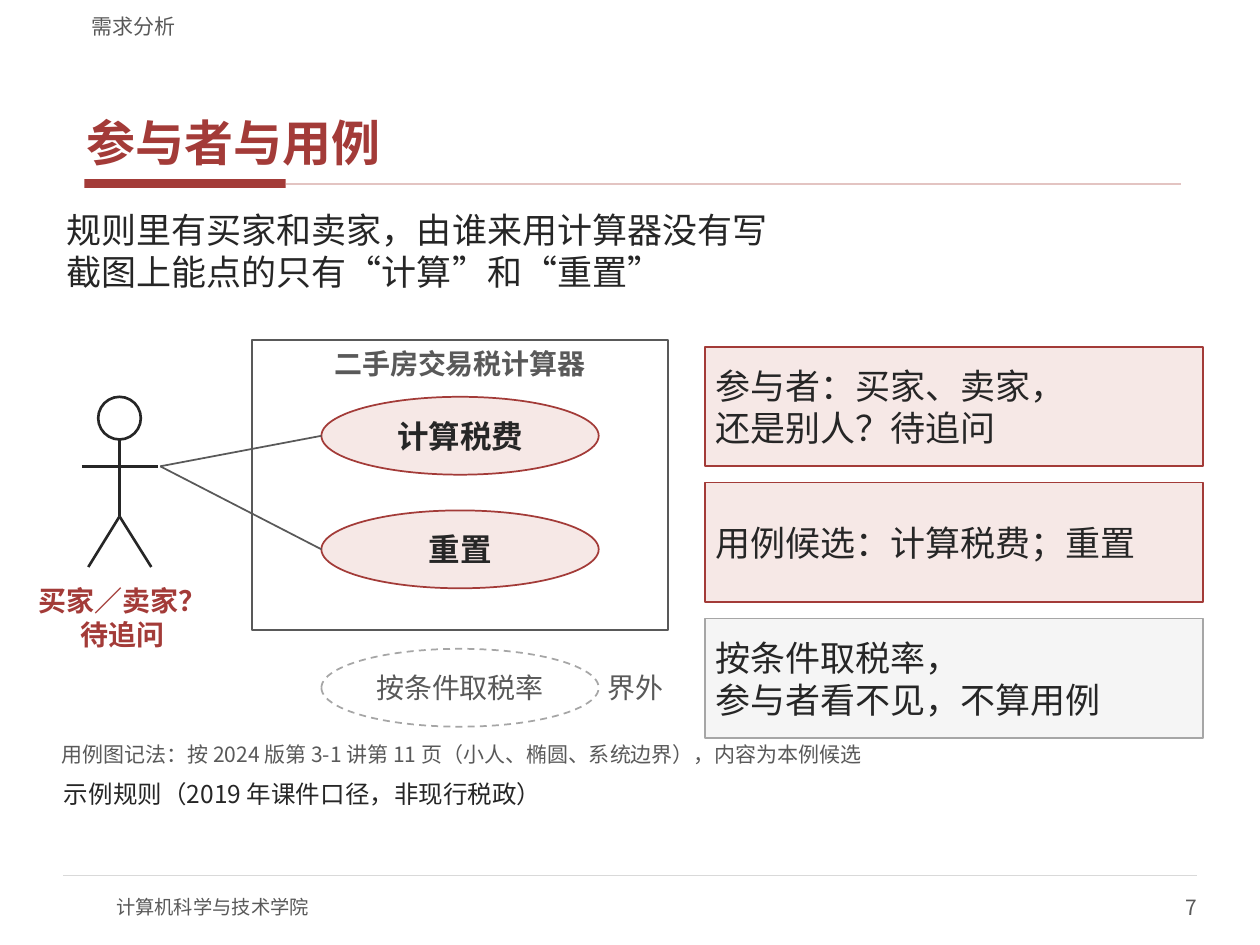
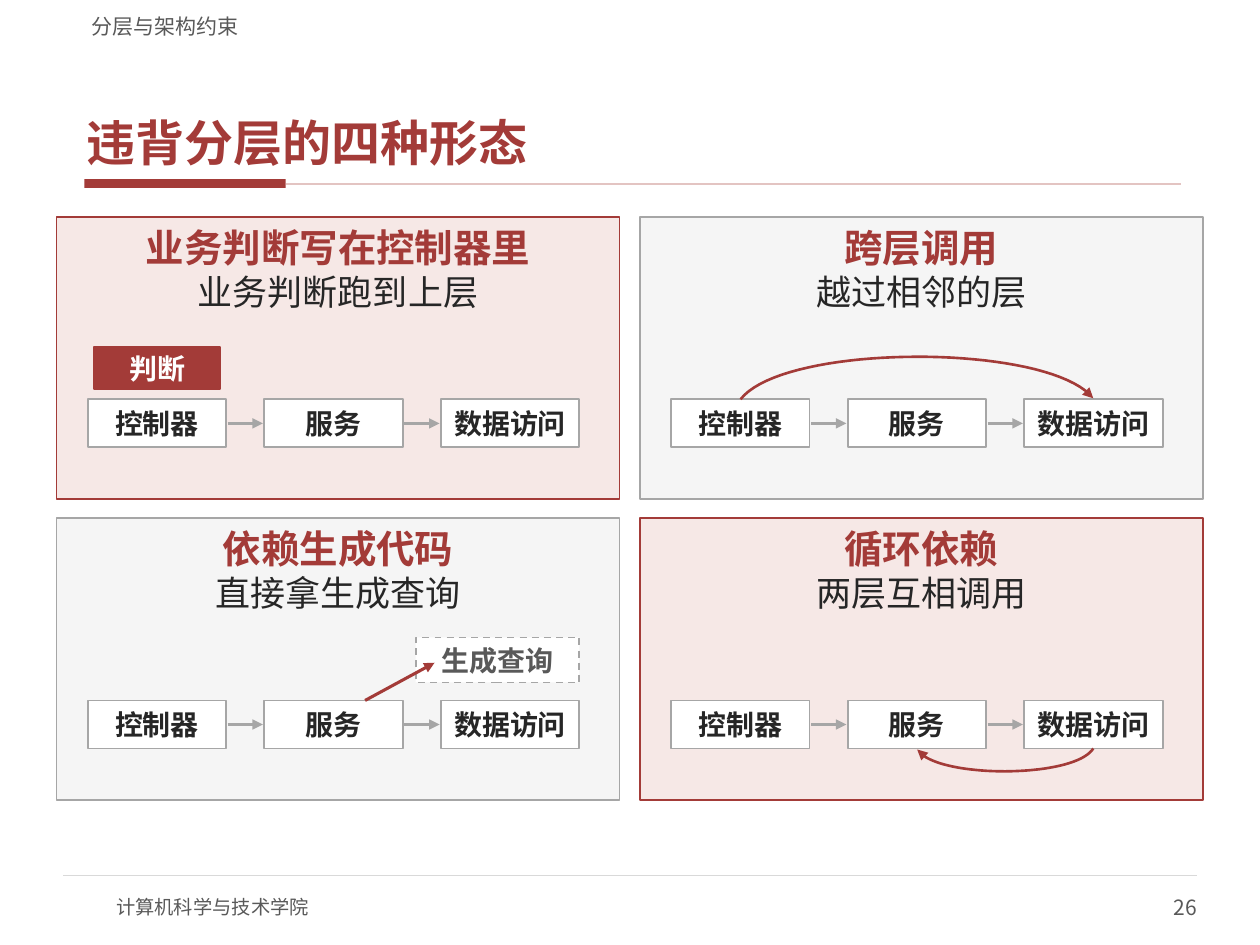
from copy import deepcopy
from dataclasses import dataclass
from typing import Any, NamedTuple, Optional

from lxml.etree import SubElement
from pptx import Presentation
from pptx.dml.color import RGBColor
from pptx.enum.dml import MSO_LINE_DASH_STYLE as Dash
from pptx.enum.lang import MSO_LANGUAGE_ID as Language
from pptx.enum.shapes import MSO_CONNECTOR as Connector, MSO_SHAPE as Preset
from pptx.enum.text import MSO_ANCHOR as Anchor, PP_ALIGN as Align
from pptx.oxml.ns import qn
from pptx.util import Cm, Pt


@dataclass(frozen=True)
class Theme:
    font: str = "Noto Sans CJK SC"
    red: RGBColor = RGBColor(0xA3, 0x3B, 0x38)
    pink: RGBColor = RGBColor(0xF6, 0xE8, 0xE6)
    rose: RGBColor = RGBColor(0xE3, 0xC4, 0xC2)
    ink: RGBColor = RGBColor(0x26, 0x26, 0x26)
    dark: RGBColor = RGBColor(0x59, 0x59, 0x59)
    gray: RGBColor = RGBColor(0xA6, 0xA6, 0xA6)
    pale: RGBColor = RGBColor(0xD9, 0xD9, 0xD9)
    mist: RGBColor = RGBColor(0xF5, 0xF5, 0xF5)
    white: RGBColor = RGBColor(0xFF, 0xFF, 0xFF)
    title: int = 28
    heading: int = 22
    body: int = 20
    case: int = 18
    label: int = 16
    rule: int = 14
    note: int = 12
    footer: int = 11


THEME = Theme()


class Area(NamedTuple):
    left: float
    top: float
    width: float
    height: float


class Point(NamedTuple):
    x: float
    y: float


class Style(NamedTuple):
    size: int
    color: RGBColor = THEME.ink
    bold: bool = False
    align: Align = Align.LEFT
    anchor: Anchor = Anchor.MIDDLE
    inset: Point = Point(0.05, 0.03)
    before: float = 0
    after: float = 0


class Stroke(NamedTuple):
    color: RGBColor
    width: float = 1
    dash: Optional[Dash] = None
    arrow: bool = False


class Look(NamedTuple):
    fill: Optional[RGBColor]
    stroke: Optional[Stroke]


class UseCase(NamedTuple):
    text: str
    top: float
    look: Look
    style: Style
    linked: bool


class Panel(NamedTuple):
    heading: str
    detail: str
    look: Look


PINK_LOOK = Look(THEME.pink, Stroke(THEME.red))
MIST_LOOK = Look(THEME.mist, Stroke(THEME.gray))
WHITE_LOOK = Look(THEME.white, Stroke(THEME.gray))
DASHED_LOOK = Look(THEME.white, Stroke(THEME.gray, dash=Dash.DASH))
WIDE_INSET = Point(0.2, 0.1)
BODY = Style(THEME.body, inset=WIDE_INSET)
LABEL = Style(THEME.label, bold=True, align=Align.CENTER)
CASE = Style(THEME.case, bold=True, align=Align.CENTER, inset=WIDE_INSET)
NOTE = Style(THEME.note, THEME.dark, anchor=Anchor.BOTTOM, inset=Point(0.1, 0.05))
HEADING = Style(THEME.heading, THEME.red, True, Align.CENTER, Anchor.TOP, Point(0.3, 0.15))
DETAIL = Style(THEME.body, align=Align.CENTER)


def apply(target: Any, values: dict[str, Any]) -> None:
    """Set each named attribute on the target."""
    for name, value in values.items():
        setattr(target, name, value)


def write(box: Any, *lines: tuple[str, Style]) -> None:
    """Write styled paragraphs into a box laid out by the first style."""
    first, frame = lines[0][1], box.text_frame
    across, down = Cm(first.inset.x), Cm(first.inset.y)
    apply(frame, {"word_wrap": True, "vertical_anchor": first.anchor,
                  "margin_left": across, "margin_right": across,
                  "margin_top": down, "margin_bottom": down})
    for index, (text, style) in enumerate(lines):
        para = frame.add_paragraph() if index else frame.paragraphs[0]
        apply(para, {"text": text, "alignment": style.align,
                     "space_before": Pt(style.before), "space_after": Pt(style.after)})
        for span in para.runs:
            apply(span.font, {"size": Pt(style.size), "bold": style.bold, "name": THEME.font,
                              "language_id": Language.SIMPLIFIED_CHINESE})
            span.font.color.rgb = style.color
            properties = span._r.get_or_add_rPr()
            SubElement(properties, qn("a:ea"), typeface=THEME.font)
        for line_break in para._p.findall(qn("a:br")):
            line_break.append(deepcopy(properties))


def add_text(page: Any, area: Area, *lines: tuple[str, Style]) -> None:
    """Place a text box."""
    write(page.shapes.add_textbox(*map(Cm, area)), *lines)


def draw_stroke(target: Any, stroke: Stroke) -> None:
    """Format a line, with an arrowhead at its end when asked."""
    apply(target.line, {"width": Pt(stroke.width), "dash_style": stroke.dash})
    target.line.color.rgb = stroke.color
    if stroke.arrow:
        SubElement(target.line._get_or_add_ln(), qn("a:tailEnd"), type="triangle")


def add_box(page: Any, area: Area, look: Look, *lines: tuple[str, Style],
            preset: Preset = Preset.RECTANGLE) -> None:
    """Place a preset shape with optional text."""
    box = page.shapes.add_shape(preset, *map(Cm, area))
    box.shadow.inherit = False
    if look.fill is None:
        box.fill.background()
    else:
        box.fill.solid()
        box.fill.fore_color.rgb = look.fill
    if look.stroke is None:
        box.line.fill.background()
    else:
        draw_stroke(box, look.stroke)
    if lines:
        write(box, *lines)


def add_line(page: Any, start: Point, end: Point, stroke: Stroke) -> None:
    """Connect two points with a straight line."""
    line = page.shapes.add_connector(Connector.STRAIGHT, *map(Cm, (*start, *end)))
    SubElement(line._element.spPr, qn("a:effectLst"))
    draw_stroke(line, stroke)


def add_curve(page: Any, controls: list[Point], stroke: Stroke, steps: int = 40) -> None:
    """Draw a cubic curve through its four control points."""
    points = []
    for step in range(steps + 1):
        t = step / steps
        weights = ((1 - t) ** 3, 3 * t * (1 - t) ** 2, 3 * t * t * (1 - t), t ** 3)
        points.append(tuple(Cm(sum(weight * value for weight, value in zip(weights, axis)))
                            for axis in zip(*controls)))
    builder = page.shapes.build_freeform(*points[0])
    builder.add_line_segments(points[1:], close=False)
    curve = builder.convert_to_shape()
    curve.shadow.inherit = False
    curve.fill.background()
    draw_stroke(curve, stroke)


def add_page(deck: Any, section: str, title: str, number: int) -> Any:
    """Start a page with the shared section, title, rules and footer."""
    page = deck.slides.add_slide(deck.slide_layouts[6])
    flush = Point(0, 0)
    add_box(page, Area(1.7, 3.61, 4.06, 0.18), Look(THEME.red, None))
    add_line(page, Point(5.77, 3.71), Point(23.8, 3.71), Stroke(THEME.rose))
    add_line(page, Point(1.27, 17.65), Point(24.13, 17.65), Stroke(THEME.pale, 0.75))
    add_text(page, Area(2.34, 17.78, 10.16, 1.02),
             ("计算机科学与技术学院", Style(THEME.footer, THEME.dark, inset=flush)))
    add_text(page, Area(19.05, 17.78, 5.08, 1.02),
             (str(number), Style(THEME.note, THEME.dark, align=Align.RIGHT, inset=flush)))
    add_text(page, Area(1.6, 0.84, 22.22, 2.67),
             (title, Style(THEME.title, THEME.red, True, anchor=Anchor.BOTTOM,
                           inset=Point(0.15, 0.05), after=2)))
    add_text(page, Area(1.6, 0.1, 22.22, 0.69), (section, NOTE._replace(inset=Point(0.25, 0))))
    return page


def add_actor(page: Any) -> None:
    """Draw the stick figure and its label."""
    stroke = Stroke(THEME.ink, 1.5)
    neck, hip = Point(2.41, 8.86), Point(2.41, 10.41)
    add_box(page, Area(1.98, 8, 0.86, 0.86), Look(THEME.white, stroke), preset=Preset.OVAL)
    for start, end in ((neck, hip), (Point(1.65, 9.4), Point(3.18, 9.4)),
                       (hip, Point(1.78, 11.43)), (hip, Point(3.05, 11.43))):
        add_line(page, start, end, stroke)
    add_text(page, Area(0.25, 11.56, 4.45, 1.78),
             ("买家／卖家？\v待追问", LABEL._replace(color=THEME.red)))


def build_use_cases(deck: Any) -> None:
    """Build the page on actors and use cases."""
    page = add_page(deck, "需求分析", "参与者与用例", 7)
    opening = BODY._replace(anchor=Anchor.TOP)
    add_text(page, Area(1.14, 4.11, 23.11, 2.16),
             ("规则里有买家和卖家，由谁来用计算器没有写", opening),
             ("截图上能点的只有“计算”和“重置”", opening))
    add_text(page, Area(1.14, 15.65, 23.11, 0.76),
             ("示例规则（2019 年课件口径，非现行税政）",
              Style(THEME.rule, anchor=Anchor.TOP, inset=Point(0.15, 0.05), after=2)))
    add_actor(page)
    add_box(page, Area(5.08, 6.86, 8.38, 5.84), Look(None, Stroke(THEME.dark, 1.25)))
    add_text(page, Area(5.21, 6.91, 8.13, 0.81),
             ("二手房交易税计算器", LABEL._replace(color=THEME.dark)))
    outside = CASE._replace(size=THEME.label, color=THEME.dark, bold=False)
    for case in (UseCase("计算税费", 8, PINK_LOOK, CASE, True),
                 UseCase("重置", 10.29, PINK_LOOK, CASE, True),
                 UseCase("按条件取税率", 13.08, DASHED_LOOK, outside, False)):
        area = Area(6.48, case.top, 5.59, 1.57)
        add_box(page, area, case.look, (case.text, case.style), preset=Preset.OVAL)
        if case.linked:
            add_line(page, Point(3.23, 9.4), Point(area.left, area.top + area.height / 2),
                     Stroke(THEME.dark))
    add_text(page, Area(12.19, 13.46, 1.78, 0.81), ("界外", Style(THEME.label, THEME.dark)))
    cards = (("参与者：买家、卖家，\v还是别人？待追问", PINK_LOOK),
             ("用例候选：计算税费；重置", PINK_LOOK),
             ("按条件取税率，\v参与者看不见，不算用例", MIST_LOOK))
    for row, (text, look) in enumerate(cards):
        add_box(page, Area(14.22, 6.99 + 2.74 * row, 10.03, 2.41), look, (text, BODY))
    add_text(page, Area(1.14, 14.86, 23.11, 0.64),
             ("用例图记法：按 2024 版第 3-1 讲第 11 页（小人、椭圆、系统边界），内容为本例候选", NOTE))


def add_layers(page: Any, left: float, top: float) -> None:
    """Draw the three layers joined by arrows."""
    width, height, step, gap = 2.79, 0.97, 3.56, 0.03
    for column, layer in enumerate(("控制器", "服务", "数据访问")):
        x, middle = left + step * column, top + height / 2
        add_box(page, Area(x, top, width, height), WHITE_LOOK, (layer, LABEL))
        if column:
            add_line(page, Point(x - step + width + gap, middle), Point(x - gap, middle),
                     Stroke(THEME.gray, 1.75, arrow=True))


def build_violations(deck: Any) -> None:
    """Build the page on four ways to break layering."""
    page = add_page(deck, "分层与架构约束", "违背分层的四种形态", 26)
    panels = (Panel("业务判断写在控制器里", "业务判断跑到上层", PINK_LOOK),
              Panel("跨层调用", "越过相邻的层", MIST_LOOK),
              Panel("依赖生成代码", "直接拿生成查询", MIST_LOOK),
              Panel("循环依赖", "两层互相调用", PINK_LOOK))
    corners = [Point(1.14 + 11.76 * (index % 2), 4.37 + 6.07 * (index // 2))
               for index in range(len(panels))]
    for panel, (left, top) in zip(panels, corners):
        add_box(page, Area(left, top, 11.35, 5.69), panel.look)
        add_layers(page, left + 0.63, top + 3.68)
        add_text(page, Area(left, top, 11.35, 2.41),
                 (panel.heading, HEADING), (panel.detail, DETAIL))

    judgement, skipping, generated, cycle = corners
    add_box(page, Area(judgement.x + 0.76, judgement.y + 2.62, 2.54, 0.86),
            Look(THEME.red, Stroke(THEME.red)), ("判断", LABEL._replace(color=THEME.white)))
    add_box(page, Area(generated.x + 7.24, generated.y + 2.41, 3.3, 0.91),
            DASHED_LOOK, ("生成查询", LABEL._replace(color=THEME.dark)))
    add_line(page, Point(generated.x + 6.22, generated.y + 3.68),
             Point(generated.x + 7.62, generated.y + 2.92), Stroke(THEME.red, 1.75, arrow=True))
    for corner, offsets in (
            (skipping, ((2.03, 3.68), (2.92, 2.54), (8.25, 2.54), (9.14, 3.66))),
            (cycle, ((9.14, 4.65), (8.76, 5.26), (5.97, 5.26), (5.59, 4.67)))):
        add_curve(page, [Point(corner.x + x, corner.y + y) for x, y in offsets],
                  Stroke(THEME.red, 1.5, arrow=True))


def main() -> None:
    """Build and save the deck."""
    deck = Presentation()
    apply(deck, {"slide_width": Cm(25.4), "slide_height": Cm(19.05)})
    build_use_cases(deck)
    build_violations(deck)
    deck.save("out.pptx")


if __name__ == "__main__":
    main()
